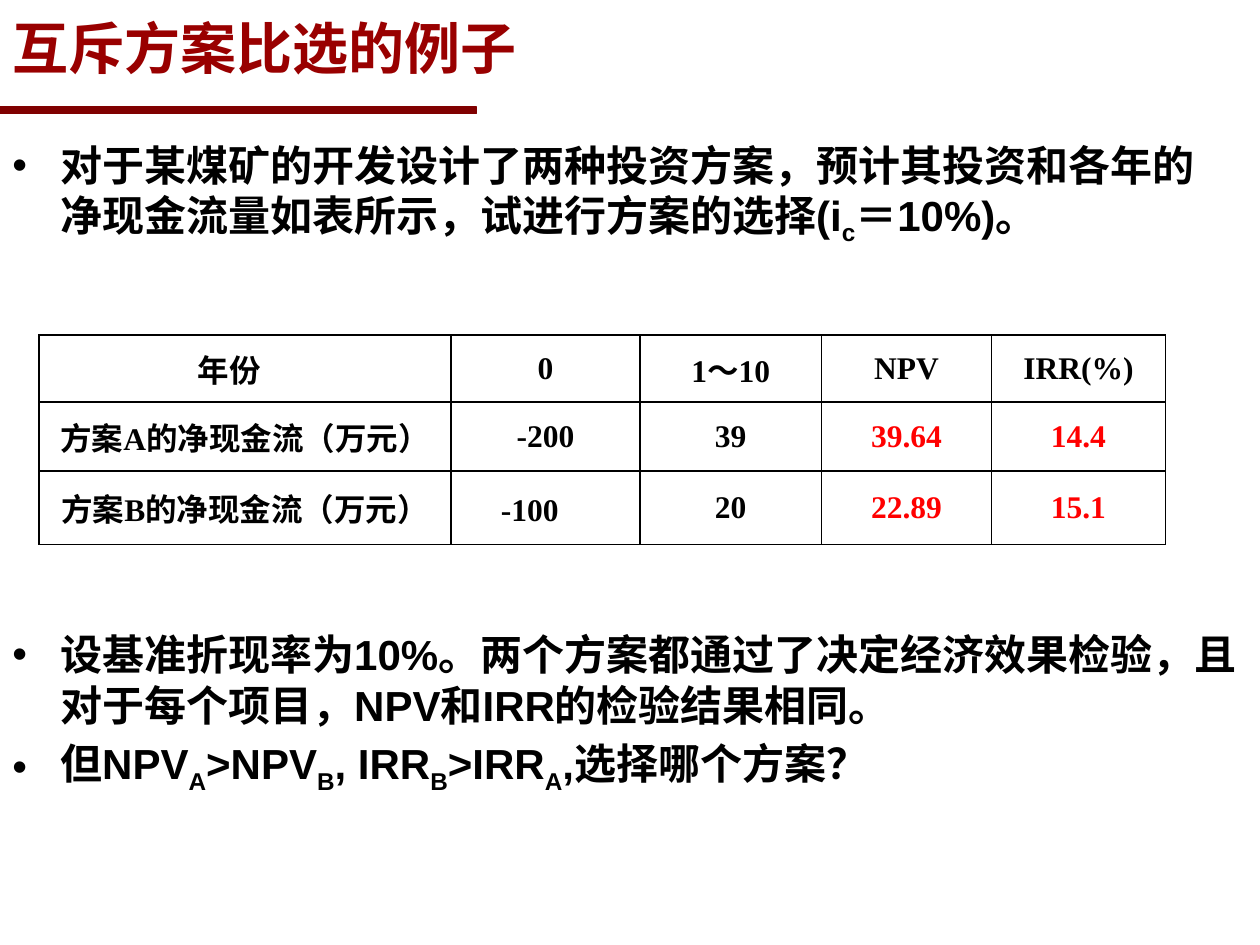
import dataclasses
import typing

import lxml.etree
import pptx
import pptx.dml.color
import pptx.enum.shapes
import pptx.enum.text
import pptx.oxml.ns
import pptx.util

Inches = pptx.util.Inches
Pt = pptx.util.Pt
RGB = pptx.dml.color.RGBColor
qn = pptx.oxml.ns.qn
Align = pptx.enum.text.PP_ALIGN
Anchor = pptx.enum.text.MSO_ANCHOR


@dataclasses.dataclass(frozen=True)
class Theme:
    sans: str = "Arial"
    serif: str = "Times New Roman"
    black: str = "000000"
    white: str = "FFFFFF"
    title: str = "990000"
    rule: str = "800000"
    red: str = "FF0000"
    head: float = 32
    body: float = 24
    cell: float = 18
    gap: float = 4.8
    indent: float = 0.38


class Box(typing.NamedTuple):
    left: float
    top: float
    width: float
    height: float

    def place(self) -> list[pptx.util.Length]:
        return [Inches(side) for side in self]


class Part(typing.NamedTuple):
    text: str
    sub: bool = False


class Block(typing.NamedTuple):
    box: Box
    items: list[list[Part]]
    pitch: float


THEME = Theme()


def color(code: str) -> RGB:
    return RGB.from_string(code)


def add_run(para, part: Part, face: str, size: float, ink: str) -> None:
    run = para.add_run()
    run.text = part.text
    font = run.font
    font.name, font.size, font.bold = face, Pt(size), True
    font.color.rgb = color(ink)
    if part.sub:
        run._r.get_or_add_rPr().set("baseline", "-25000")


def add_box(slide, box: Box):
    shape = slide.shapes.add_textbox(*box.place())
    shape.fill.solid()
    shape.fill.fore_color.rgb = color(THEME.white)
    shape.text_frame.word_wrap = True
    return shape.text_frame


def add_bullet(para) -> None:
    props = para._p.get_or_add_pPr()
    inset = Inches(THEME.indent)
    props.set("marL", str(inset))
    props.set("indent", str(-inset))
    lxml.etree.SubElement(props, qn("a:buFont"), typeface=THEME.sans)
    lxml.etree.SubElement(props, qn("a:buChar"), char="•")


def add_block(slide, block: Block) -> None:
    frame = add_box(slide, block.box)
    for i, item in enumerate(block.items):
        para = frame.add_paragraph() if i else frame.paragraphs[0]
        add_bullet(para)
        para.line_spacing = block.pitch
        if i:
            para.space_before = Pt(THEME.gap)
        for part in item:
            add_run(para, part, THEME.sans, THEME.body, THEME.black)


def add_border(cell) -> None:
    props = cell._tc.get_or_add_tcPr()
    for i, side in enumerate(("lnL", "lnR", "lnT", "lnB")):
        line = lxml.etree.Element(qn(f"a:{side}"), w=str(Pt(1)))
        fill = lxml.etree.SubElement(line, qn("a:solidFill"))
        lxml.etree.SubElement(fill, qn("a:srgbClr"), val=THEME.black)
        props.insert(i, line)


def add_table(slide, box: Box, cols: list[float], rows: list[float],
              data: list[list[str]]) -> None:
    table = slide.shapes.add_table(len(rows), len(cols), *box.place()).table
    table.first_row = table.horz_banding = False
    for col, width in zip(table.columns, cols):
        col.width = Inches(width)
    for row, height in zip(table.rows, rows):
        row.height = Inches(height)
    for r, line in enumerate(data):
        for c, text in enumerate(line):
            cell = table.cell(r, c)
            cell.fill.background()
            cell.vertical_anchor = Anchor.MIDDLE
            cell.margin_left = cell.margin_right = Inches(0.05)
            add_border(cell)
            para = cell.text_frame.paragraphs[0]
            para.alignment = Align.CENTER
            ink = THEME.red if r > 0 and c > 2 else THEME.black
            add_run(para, Part(text), THEME.serif, THEME.cell, ink)


def main() -> None:
    deck = pptx.Presentation()
    deck.slide_width, deck.slide_height = Inches(10), Inches(7.5)
    slide = deck.slides.add_slide(deck.slide_layouts[6])

    # Rule under the title
    rule = slide.shapes.add_shape(
        pptx.enum.shapes.MSO_SHAPE.RECTANGLE,
        *Box(-0.01, 0.85, 3.79, 0.05).place())
    rule.shadow.inherit = False
    rule.fill.solid()
    rule.fill.fore_color.rgb = color(THEME.rule)
    rule.line.color.rgb = color(THEME.rule)
    rule.line.width = Pt(0.75)

    # Title
    frame = add_box(slide, Box(0, 0.01, 9.75, 0.72))
    frame.vertical_anchor = Anchor.MIDDLE
    add_run(frame.paragraphs[0], Part("互斥方案比选的例子"),
            THEME.sans, THEME.head, THEME.title)

    # Cash flow table
    add_table(
        slide, Box(0.31, 2.66, 8.94, 1.66),
        [3.27, 1.5, 1.44, 1.35, 1.38], [0.53, 0.55, 0.58],
        [["年份　", "0", "1～10", "NPV", "IRR(%)"],
         ["方案A的净现金流（万元）", "-200", "39", "39.64", "14.4"],
         ["方案B的净现金流（万元）", "-100　", "20", "22.89", "15.1"]])

    # Closing and opening bullets
    blocks = [
        Block(Box(0, 4.94, 10, 2.22), [
            [Part("设基准折现率为10%。两个方案都通过了决定经济效果检验，"
                  "且对于每个项目，NPV和IRR的检验结果相同。")],
            [Part("但NPV"), Part("A", True), Part(">NPV"), Part("B", True),
             Part(", IRR"), Part("B", True), Part(">IRR"), Part("A", True),
             Part(",选择哪个方案？")]], 1.0),
        Block(Box(0, 1.1, 9.64, 1.06), [
            [Part("对于某煤矿的开发设计了两种投资方案，预计其投资和各年的"
                  "净现金流量如表所示，试进行方案的选择(i"),
             Part("c", True), Part("＝10%)。")]], 0.9),
    ]
    for block in blocks:
        add_block(slide, block)

    deck.save("out.pptx")


if __name__ == "__main__":
    main()
